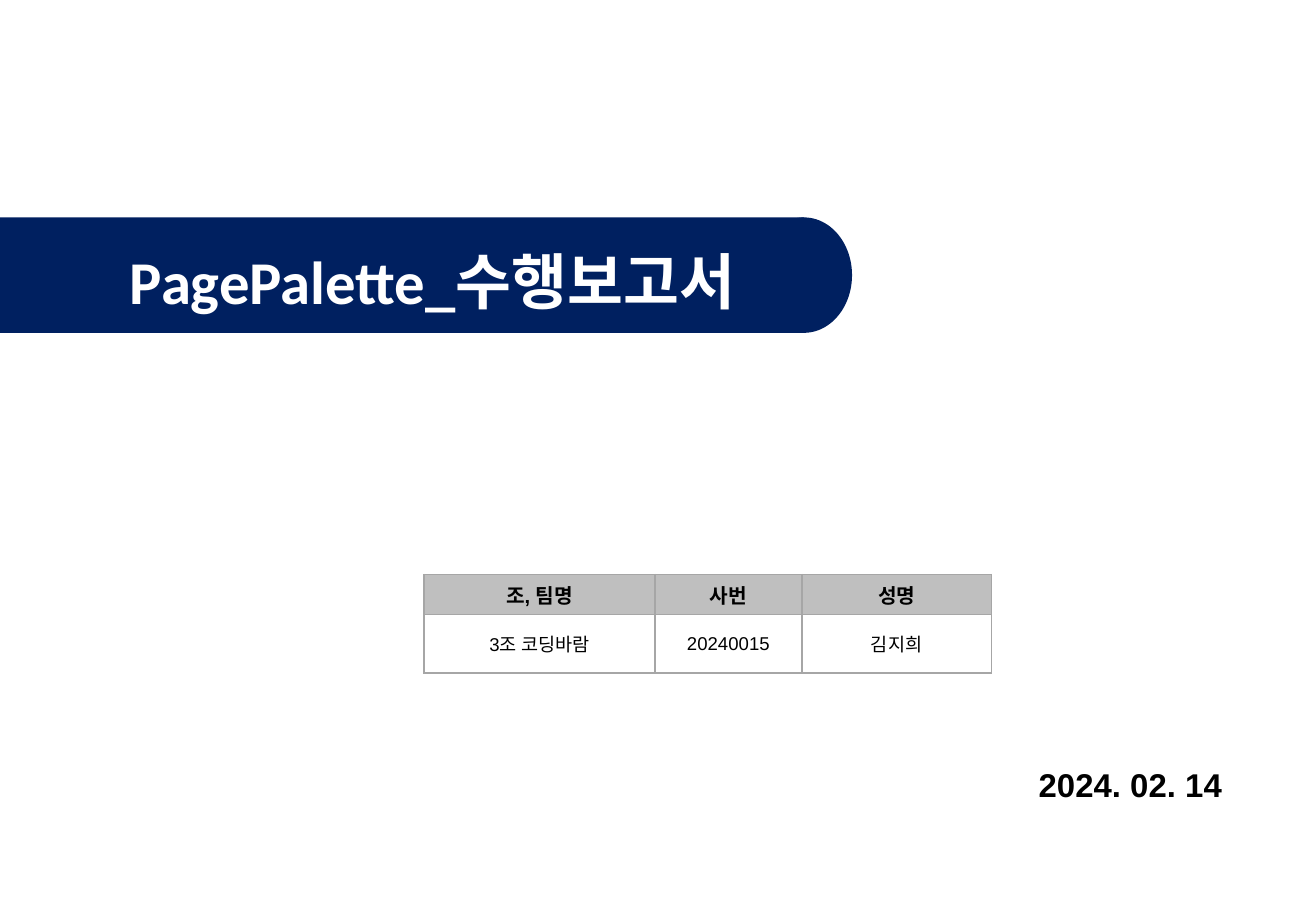
from dataclasses import dataclass

from lxml.etree import SubElement
from pptx import Presentation
from pptx.dml.color import RGBColor
from pptx.enum.shapes import MSO_SHAPE as Shape
from pptx.enum.text import MSO_ANCHOR as Anchor, MSO_AUTO_SIZE as Fit, PP_ALIGN as Align
from pptx.oxml.ns import qn
from pptx.util import Inches, Pt

NAVY, GREY, EDGE = "002060", "BFBFBF", "A6A6A6"
BLACK, WHITE = "000000", "FFFFFF"


@dataclass
class Box:
    """Left, top, width and height in percent of the slide."""
    x: float
    y: float
    w: float
    h: float


@dataclass
class Style:
    size: float
    bold: bool = True
    name: str = "Arial"
    color: str = BLACK


@dataclass
class Label:
    text: str
    box: Box
    style: Style


@dataclass
class Row:
    texts: list[str]
    height: float
    style: Style
    fill: str | None = None


deck = Presentation()
deck.slide_width, deck.slide_height = Inches(10.83), Inches(7.5)
slide = deck.slides.add_slide(deck.slide_layouts[6])


def across(share: float) -> int:
    return round(deck.slide_width * share / 100)


def down(share: float) -> int:
    return round(deck.slide_height * share / 100)


def place(box: Box) -> tuple[int, int, int, int]:
    return across(box.x), down(box.y), across(box.w), down(box.h)


def color(code: str) -> RGBColor:
    return RGBColor.from_string(code)


def write(frame, text: str, style: Style, align: Align = Align.LEFT) -> None:
    para = frame.paragraphs[0]
    para.alignment = align
    run = para.add_run()
    run.text = text
    form = {"size": Pt(style.size), "bold": style.bold, "name": style.name}
    for key, value in form.items():
        setattr(run.font, key, value)
    run.font.color.rgb = color(style.color)


def draw_part(kind: Shape, box: Box) -> None:
    part = slide.shapes.add_shape(kind, *place(box))
    part.shadow.inherit = False
    part.fill.solid()
    part.fill.fore_color.rgb = color(NAVY)
    part.line.fill.background()


def draw_label(label: Label) -> None:
    frame = slide.shapes.add_textbox(*place(label.box)).text_frame
    frame.word_wrap = False
    frame.auto_size = Fit.SHAPE_TO_FIT_TEXT
    write(frame, label.text, label.style)


def draw_edges(cell) -> None:
    props = cell._tc.get_or_add_tcPr()
    for side in ("lnL", "lnR", "lnT", "lnB"):
        line = SubElement(props, qn(f"a:{side}"), w=str(Pt(1)))
        fill = SubElement(line, qn("a:solidFill"))
        SubElement(fill, qn("a:srgbClr"), val=EDGE)


def draw_cell(cell, text: str, row: Row) -> None:
    form = {
        "margin_left": Inches(0.06), "margin_right": Inches(0.06),
        "margin_top": Inches(0.03), "margin_bottom": Inches(0.03),
        "vertical_anchor": Anchor.MIDDLE,
    }
    for key, value in form.items():
        setattr(cell, key, value)
    draw_edges(cell)
    if row.fill:
        cell.fill.solid()
        cell.fill.fore_color.rgb = color(row.fill)
    else:
        cell.fill.background()
    write(cell.text_frame, text, row.style, Align.CENTER)


def draw_table(x: float, y: float, cols: list[float], rows: list[Row]) -> None:
    box = Box(x, y, sum(cols), sum(row.height for row in rows))
    table = slide.shapes.add_table(len(rows), len(cols), *place(box)).table
    table.first_row = table.horz_banding = False
    for col, width in zip(table.columns, cols):
        col.width = across(width)
    for r, row in enumerate(rows):
        table.rows[r].height = down(row.height)
        for c, text in enumerate(row.texts):
            draw_cell(table.cell(r, c), text, row)


# Title band with a round end centred on its right edge
band = Box(0, 23.87, 61.1, 12.67)
cap = 7.3
draw_part(Shape.RECTANGLE, band)
draw_part(Shape.OVAL, Box(band.w - cap / 2, band.y, cap, band.h))

# Team table
draw_table(32.23, 63.07, [17.54, 11.17, 14.4], [
    Row(["조, 팀명", "사번", "성명"], 4.4, Style(12), GREY),
    Row(["3조 코딩바람", "20240015", "김지희"], 6.4, Style(11, bold=False)),
])

# Title and date
for label in (
    Label("PagePalette_수행보고서", Box(8.96, 26.13, 50.32, 9.47),
          Style(36, name="Calibri", color=WHITE)),
    Label("2024. 02. 14", Box(78.02, 83.33, 16.62, 5.73), Style(19.5)),
):
    draw_label(label)

deck.save("out.pptx")
